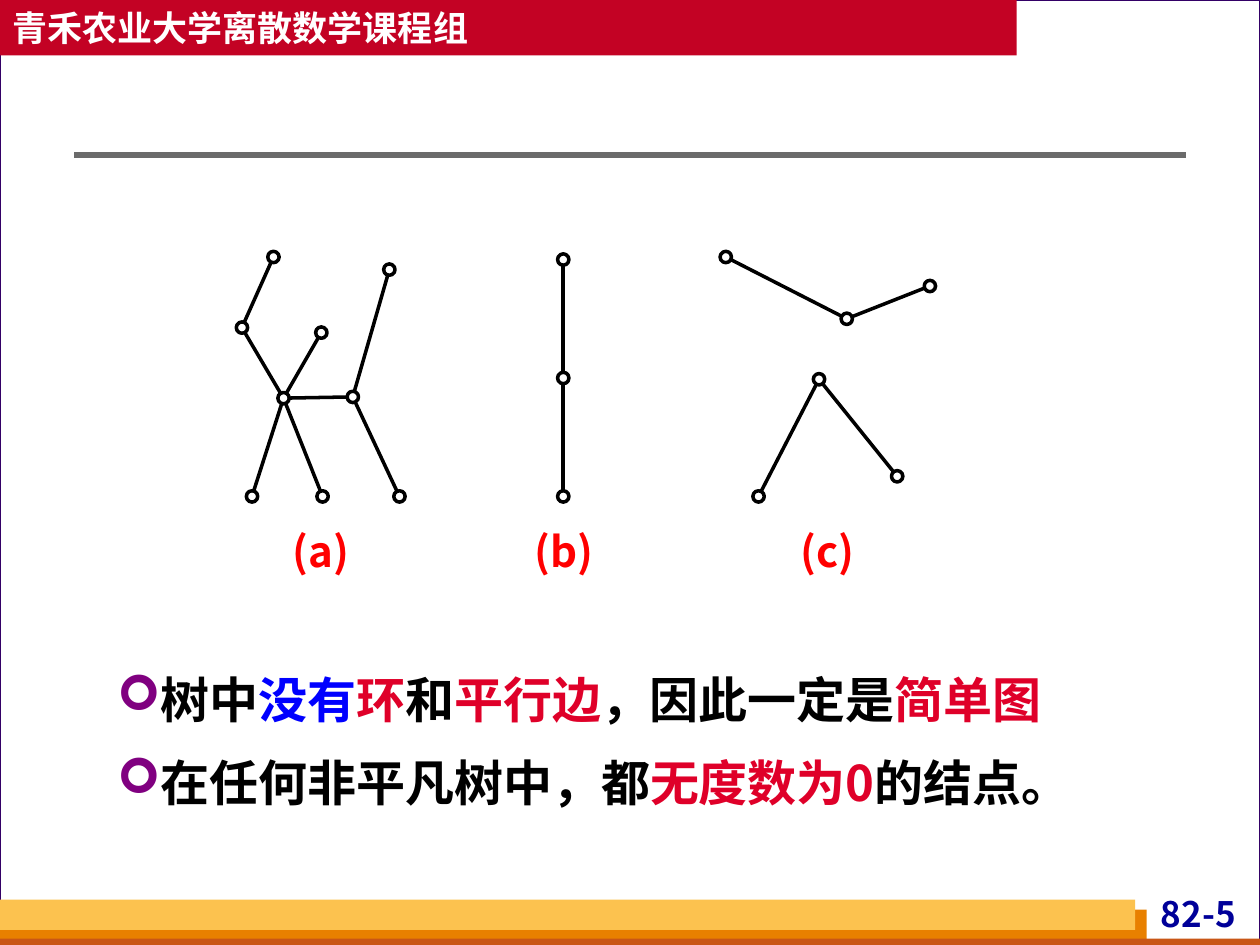
from math import hypot

from lxml.etree import SubElement
from pptx import Presentation
from pptx.dml.color import RGBColor
from pptx.enum.shapes import MSO_CONNECTOR, MSO_SHAPE
from pptx.enum.text import MSO_ANCHOR, MSO_AUTO_SIZE, PP_ALIGN
from pptx.oxml.ns import qn
from pptx.util import Inches, Pt

THEME = {
    "font": "Noto Sans CJK SC",
    "sizes": {"small": Pt(20), "label": Pt(24), "body": Pt(28)},
    "colors": {
        name: RGBColor.from_string(value)
        for name, value in {
            "background": "D8DADA", "white": "FFFFFF", "black": "000000",
            "frame": "330066", "orange": "E88000", "rust": "C95616",
            "yellow": "FCC24F", "banner": "C30224", "rule": "6B6B6B",
            "number": "000099", "label": "FF0000", "bullet": "800080",
            "blue": "0000FF", "red": "DF0029",
        }.items()
    },
}
COLORS, SIZES = THEME["colors"], THEME["sizes"]
NODE_RADIUS = 0.045


def add_span(para, text, size, color):
    span = para.add_run()
    span.text = text
    for name, value in {"name": THEME["font"], "size": SIZES[size], "bold": True}.items():
        setattr(span.font, name, value)
    span.font.color.rgb = COLORS[color]
    SubElement(span.font._element, qn("a:ea"), typeface=THEME["font"])


def add_line(shapes, start, end, color, width):
    line = shapes.add_connector(
        MSO_CONNECTOR.STRAIGHT, *(Inches(value) for value in (*start, *end))
    )
    line.line.color.rgb = COLORS[color]
    line.line.width = Pt(width)
    SubElement(line._element.spPr, qn("a:effectLst"))


deck = Presentation()
deck.slide_width, deck.slide_height = Inches(10), Inches(7.5)
page = deck.slides.add_slide(deck.slide_layouts[1])
page.background.fill.solid()
page.background.fill.fore_color.rgb = COLORS["background"]
title, body = page.placeholders
title._element.getparent().remove(title._element)

# Frame, footer bars and banner
panels = [
    ((0, 0, 10, 7.5), "white"),
    ((0, 7.22, 9.1, 0.28), "orange"),
    ((0, 7.45, 10, 0.08), "rust"),
    ((0, 7.14, 9.01, 0.24), "yellow"),
    ((0, 0, 8.07, 0.44), "banner"),
]
for bounds, color in panels:
    panel = page.shapes.add_shape(MSO_SHAPE.RECTANGLE, *(Inches(value) for value in bounds))
    panel.shadow.inherit = False
    panel.fill.solid()
    panel.fill.fore_color.rgb = COLORS[color]
    if color == "white":
        panel.line.color.rgb = COLORS["frame"]
        panel.line.width = Pt(0.75)
    else:
        panel.line.fill.background()

banner_frame = panel.text_frame
banner_frame.vertical_anchor = MSO_ANCHOR.MIDDLE
banner_frame.paragraphs[0].alignment = PP_ALIGN.LEFT
add_span(banner_frame.paragraphs[0], "青禾农业大学离散数学课程组", "small", "white")
add_line(page.shapes, (0.59, 1.23), (9.41, 1.23), "rule", 3)

# Graphs: node centres, edges between them, and the place of the label
graphs = [
    {
        "label": "(a)", "label_left": 2.28,
        "nodes": {
            "top": (2.17, 2.04), "left": (1.92, 2.6), "hub": (2.25, 3.16),
            "inner": (2.55, 2.64), "joint": (2.8, 3.15), "right": (3.09, 2.14),
            "leaf 1": (2, 3.94), "leaf 2": (2.56, 3.94), "leaf 3": (3.17, 3.94),
        },
        "edges": [
            ("top", "left"), ("left", "hub"), ("hub", "inner"), ("hub", "joint"),
            ("hub", "leaf 1"), ("hub", "leaf 2"), ("joint", "right"), ("joint", "leaf 3"),
        ],
    },
    {
        "label": "(b)", "label_left": 4.21,
        "nodes": {"top": (4.47, 2.06), "middle": (4.47, 3), "bottom": (4.47, 3.94)},
        "edges": [("top", "middle"), ("middle", "bottom")],
    },
    {
        "label": "(c)", "label_left": 6.3,
        "nodes": {
            "upper left": (5.76, 2.04), "upper hub": (6.72, 2.53), "upper right": (7.38, 2.27),
            "lower left": (6.02, 3.94), "lower hub": (6.5, 3.01), "lower right": (7.12, 3.78),
        },
        "edges": [
            ("upper left", "upper hub"), ("upper hub", "upper right"),
            ("lower hub", "lower left"), ("lower hub", "lower right"),
        ],
    },
]
for graph in graphs:
    group = page.shapes.add_group_shape()
    for first, second in graph["edges"]:
        (x1, y1), (x2, y2) = graph["nodes"][first], graph["nodes"][second]
        trim = NODE_RADIUS / hypot(x2 - x1, y2 - y1)
        dx, dy = (x2 - x1) * trim, (y2 - y1) * trim
        add_line(group.shapes, (x1 + dx, y1 + dy), (x2 - dx, y2 - dy), "black", 2)
    for x, y in graph["nodes"].values():
        node = group.shapes.add_shape(
            MSO_SHAPE.OVAL, Inches(x - NODE_RADIUS), Inches(y - NODE_RADIUS),
            Inches(2 * NODE_RADIUS), Inches(2 * NODE_RADIUS),
        )
        node.shadow.inherit = False
        node.fill.solid()
        node.fill.fore_color.rgb = COLORS["white"]
        node.line.color.rgb = COLORS["black"]
        node.line.width = Pt(2)
    graph["group"] = group

# Graph labels and page number
captions = [
    (graph["group"].shapes, graph["label"], (graph["label_left"], 4.17, 0.53, 0.44), "label", "label", 0)
    for graph in graphs
]
captions.append((page.shapes, "82-5", (9.1, 7.08, 0.82, 0.38), "small", "number", 0.04))
for shapes, text, bounds, size, color, inset in captions:
    box = shapes.add_textbox(*(Inches(value) for value in bounds))
    frame_format = {
        "word_wrap": True, "margin_top": 0, "margin_bottom": 0,
        "margin_left": Inches(inset), "margin_right": Inches(inset),
    }
    for name, value in frame_format.items():
        setattr(box.text_frame, name, value)
    para = box.text_frame.paragraphs[0]
    para.alignment = PP_ALIGN.CENTER
    add_span(para, text, size, color)

# Bulleted statements, in front of the white frame
page.shapes._spTree.append(body._element)
body_bounds = {"left": 0.83, "top": 5.17, "width": 8.43, "height": 1.32}
for name, value in body_bounds.items():
    setattr(body, name, Inches(value))
body.text_frame.auto_size = MSO_AUTO_SIZE.SHAPE_TO_FIT_TEXT
body.text_frame.vertical_anchor = MSO_ANCHOR.TOP
statements = [
    (14, [("树中", "black"), ("没有", "blue"), ("环", "red"), ("和", "black"),
          ("平行边", "red"), ("，因此一定是", "black"), ("简单图", "red")]),
    (7, [("在任何非平凡树中，都", "black"), ("无度数为0", "red"), ("的结点。", "black")]),
]
for index, (space, spans) in enumerate(statements):
    para = body.text_frame.add_paragraph() if index else body.text_frame.paragraphs[0]
    para_format = {
        "alignment": PP_ALIGN.JUSTIFY, "line_spacing": 1.2,
        "space_before": Pt(space), "space_after": Pt(0),
    }
    for name, value in para_format.items():
        setattr(para, name, value)
    properties = para._p.get_or_add_pPr()
    properties.set("marL", str(Inches(0.32)))
    properties.set("indent", str(-Inches(0.32)))
    bullet_color = SubElement(properties, qn("a:buClr"))
    SubElement(bullet_color, qn("a:srgbClr"), val=str(COLORS["bullet"]))
    SubElement(properties, qn("a:buFont"), typeface="Wingdings")
    SubElement(properties, qn("a:buChar"), char="➢")
    for text, color in spans:
        add_span(para, text, "body", color)

deck.save("out.pptx")
